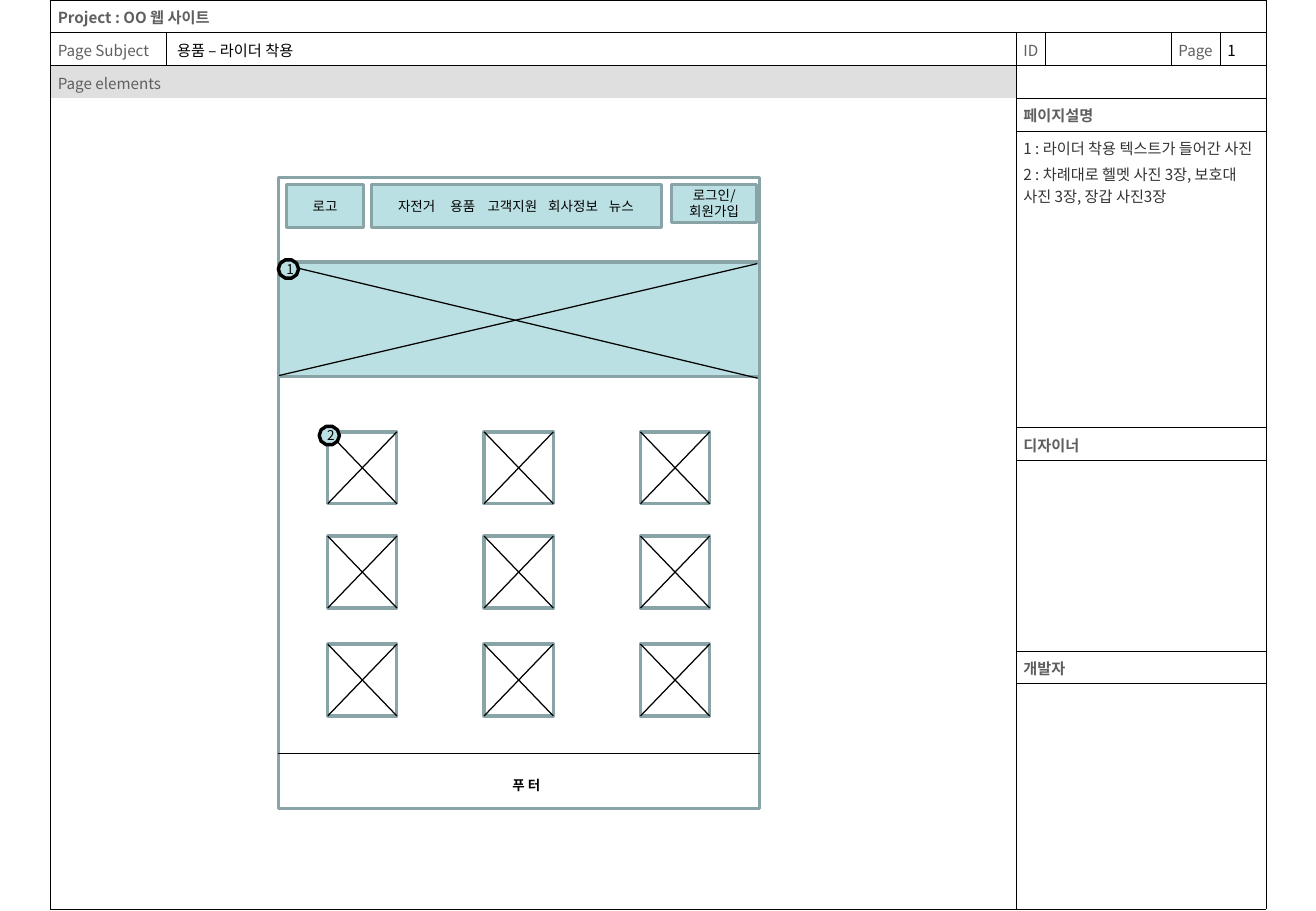
from lxml.etree import SubElement
from pptx import Presentation
from pptx.dml.color import RGBColor
from pptx.enum.shapes import MSO_CONNECTOR, MSO_SHAPE
from pptx.enum.text import MSO_ANCHOR, PP_ALIGN
from pptx.oxml.ns import qn
from pptx.util import Pt

FONT = "Noto Sans CJK KR"
BLACK, GRAY, DARK, WHITE = "000000", "5F5F5F", "333333", "FFFFFF"
TEAL, TEAL_EDGE = "BBE0E3", "89A4A7"
color = RGBColor.from_string


def write_text(frame, text, size, text_color=BLACK, bold=False, align=PP_ALIGN.LEFT, tabs=()):
    """Fill a text frame, one paragraph per line, in Latin and Korean type."""
    frame.text = text
    for index, paragraph in enumerate(frame.paragraphs):
        paragraph.alignment = align
        if index and size == 9:
            paragraph.space_before = Pt(2.2)
        if tabs:
            tab_list = SubElement(paragraph._p.get_or_add_pPr(), qn("a:tabLst"))
            for position in tabs:
                SubElement(tab_list, qn("a:tab"), pos=str(Pt(position)), algn="l")
        font = paragraph.font
        font.size, font.bold, font.name = Pt(size), bold, FONT
        font.color.rgb = color(text_color)
        SubElement(font._rPr, qn("a:ea"), typeface=FONT)
        SubElement(paragraph._p, qn("a:endParaRPr"), sz=str(size * 100))


def add_box(kind, left, top, width, height, fill, edge=TEAL_EDGE):
    shape = slide.shapes.add_shape(kind, Pt(left), Pt(top), Pt(width), Pt(height))
    shape.shadow.inherit = False
    shape.fill.solid()
    shape.fill.fore_color.rgb = color(fill)
    shape.line.color.rgb = color(edge)
    shape.line.width = Pt(2)
    return shape


presentation = Presentation()
presentation.slide_width, presentation.slide_height = Pt(780.13), Pt(540)
slide = presentation.slides.add_slide(presentation.slide_layouts[6])

# Specification table
column_widths = [68.8, 503.6, 17.2, 74.8, 29, 27.2]
row_heights = [19.4] * 4 + [176, 19.3, 113.2, 19.3, 133.6]
table = slide.shapes.add_table(
    len(row_heights), len(column_widths), Pt(30), Pt(0),
    Pt(sum(column_widths)), Pt(sum(row_heights))).table
table.first_row = table.horz_banding = False
for column, width in zip(table.columns, column_widths):
    column.width = Pt(width)
for row, height in zip(table.rows, row_heights):
    row.height = Pt(height)

description = ("1 : 라이더 착용 텍스트가 들어간 사진\n"
               "2 : 차례대로 헬멧 사진 3장, 보호대 사진 3장, 장갑 사진3장")
right_margins = {"ID": 2.2, "Page": 2.2, description: 8}
# row, column, row span, column span, text, colour, bold
regions = [
    (0, 0, 1, 6, "Project : OO 웹 사이트", GRAY, True),
    (1, 0, 1, 1, "Page Subject", GRAY, False),
    (1, 1, 1, 1, "용품 – 라이더 착용", BLACK, False),
    (1, 2, 1, 1, "ID", GRAY, False),
    (1, 3, 1, 1, "", BLACK, False),
    (1, 4, 1, 1, "Page", GRAY, False),
    (1, 5, 1, 1, "1", BLACK, False),
    (2, 0, 1, 2, "Page elements", GRAY, False),
    (2, 2, 1, 4, "", BLACK, False),
    (3, 0, 6, 2, "", BLACK, False),
    (3, 2, 1, 4, "페이지설명", GRAY, True),
    (4, 2, 1, 4, description, DARK, False),
    (5, 2, 1, 4, "디자이너", GRAY, True),
    (6, 2, 1, 4, "", BLACK, False),
    (7, 2, 1, 4, "개발자", GRAY, True),
    (8, 2, 1, 4, "", BLACK, False),
]
for top, left, row_span, column_span, text, text_color, bold in regions:
    bottom, right = top + row_span - 1, left + column_span - 1
    origin = table.cell(top, left)
    if row_span * column_span > 1:
        origin.merge(table.cell(bottom, right))
    for row in range(top, bottom + 1):
        for column in range(left, right + 1):
            cell = table.cell(row, column)
            is_origin = (row, column) == (top, left)
            cell.margin_left = Pt(6.2 if (row, column) == (1, 1) else 4.3)
            cell.margin_right = Pt(right_margins.get(text, 4.3))
            cell.margin_top, cell.margin_bottom = Pt(3.6), Pt(2)
            write_text(cell.text_frame, text if is_origin else "", 9, text_color, bold)
            sides = {
                "L": column == left,
                "R": is_origin or column == right,
                "T": (is_origin or row == top) and (top, left) != (3, 0),
                "B": (is_origin or row == bottom) and (top, left) != (2, 0),
            }
            for side, visible in sides.items():
                border = SubElement(cell._tc.get_or_add_tcPr(), qn(f"a:ln{side}"), w="5715")
                if visible:
                    paint = SubElement(border, qn("a:solidFill"))
                    SubElement(paint, qn("a:srgbClr"), val=BLACK)
                else:
                    SubElement(border, qn("a:noFill"))
            cell.fill.solid()
            cell.fill.fore_color.rgb = color("DFDFDF" if (top, left) == (2, 0) else WHITE)

# Wireframe: page frame, photo grid and banner
add_box(MSO_SHAPE.RECTANGLE, 165.1, 105.3, 285.2, 374, WHITE)
lines = [(165.1, 446.8, 450.3, 446.8)]
for photo_top in (256, 317.8, 381.8):
    for column in range(3):
        photo_left = 194.3 + 92.7 * column
        photo_right, photo_bottom = photo_left + 41, photo_top + 42.6
        add_box(MSO_SHAPE.RECTANGLE, photo_left, photo_top, 41, 42.6, WHITE)
        lines += [(photo_right, photo_top, photo_left, photo_bottom),
                  (photo_left, photo_top, photo_right, photo_bottom)]
add_box(MSO_SHAPE.RECTANGLE, 165.1, 155.4, 285.2, 67.9, TEAL)
lines += [(165.5, 156.3, 449.2, 224.2), (165.5, 222.6, 448.9, 156.3)]
for ends in lines:
    connector = slide.shapes.add_connector(MSO_CONNECTOR.STRAIGHT, *map(Pt, ends))
    connector.line.color.rgb = color(BLACK)
    connector.line.width = Pt(0.75)
    SubElement(connector._element.spPr, qn("a:effectLst"))

footer = slide.shapes.add_textbox(Pt(296.6), Pt(456.8), Pt(123.8), Pt(17.3))
footer.text_frame.word_wrap = True
write_text(footer.text_frame, "푸 터", 8, bold=True)

# Header buttons
for left, width, height, text in [(169.9, 45.6, 25.6, "로고"),
                                  (398.2, 50.4, 22.5, "로그인/\n회원가입")]:
    button = add_box(MSO_SHAPE.RECTANGLE, left, 109.4, width, height, TEAL)
    write_text(button.text_frame, text, 8, align=PP_ALIGN.CENTER)

menu = add_box(MSO_SHAPE.RECTANGLE, 220.3, 109.4, 171.9, 25.6, TEAL)
menu.text_frame.margin_left, menu.text_frame.margin_right = Pt(15.7), Pt(0)
menu_items = ["자전거", "용품", "고객지원", "회사정보", "뉴스"]
write_text(menu.text_frame, "\t".join(menu_items), 8, tabs=(31, 53, 89, 125))

# Numbered markers
for number, left, top in [("1", 165, 154), ("2", 189.2, 252.7)]:
    marker = add_box(MSO_SHAPE.DECAGON, left, top, 12, 10.9, TEAL, BLACK)
    marker_frame = marker.text_frame
    marker_frame.margin_left, marker_frame.margin_right = Pt(2), Pt(0)
    marker_frame.margin_top = marker_frame.margin_bottom = Pt(0)
    marker_frame.word_wrap = False
    marker_frame.vertical_anchor = MSO_ANCHOR.MIDDLE
    write_text(marker_frame, number, 8, align=PP_ALIGN.CENTER)

presentation.save("out.pptx")
